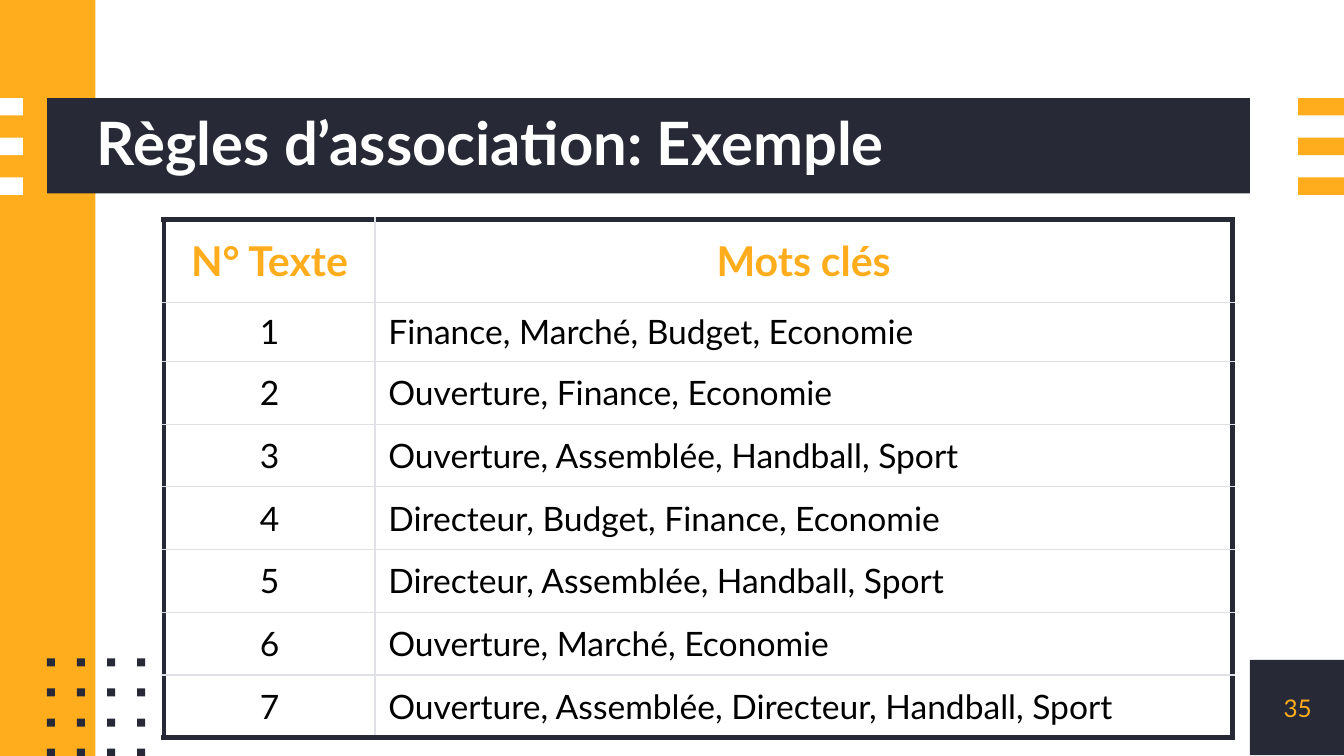
from lxml.etree import SubElement
from pptx import Presentation
from pptx.dml.color import RGBColor
from pptx.enum.shapes import MSO_SHAPE
from pptx.enum.text import MSO_ANCHOR, PP_ALIGN
from pptx.oxml.ns import qn
from pptx.util import Inches, Pt

# Content
TITLE = "Règles d’association: Exemple"
NUMBER = "35"
HEADS = ("N° Texte", "Mots clés")
WORDS = [
    "Finance, Marché, Budget, Economie",
    "Ouverture, Finance, Economie",
    "Ouverture, Assemblée, Handball, Sport",
    "Directeur, Budget, Finance, Economie",
    "Directeur, Assemblée, Handball, Sport",
    "Ouverture, Marché, Economie",
    "Ouverture, Assemblée, Directeur, Handball, Sport",
]
ROWS = [HEADS] + [(str(i), text) for i, text in enumerate(WORDS, 1)]

# Style
FONT = "Lato"
DARK = RGBColor(0x27, 0x2A, 0x36)
GOLD = RGBColor(0xFF, 0xAD, 0x1D)
WHITE = RGBColor(0xFF, 0xFF, 0xFF)
BLACK = RGBColor(0x00, 0x00, 0x00)
GREY = RGBColor(0xE0, 0xE0, 0xE7)

# Layout in inches, on a 16:9 slide
WIDE = 10
HIGH = WIDE * 9 / 16
WIDTHS = (1.57, 6.38)
HEIGHTS = [0.62, 0.44] + [0.467] * 6
HEIGHTS = [0.62, 0.44] + [2.8 / 6] * 6
BAR = (0.72, 0.73, 8.58, 0.71)
CORNER = (9.3, 4.91, 0.71, 0.71)
STRIPE = 0.59 / 2
DOT = 0.67 / 3

deck = Presentation()
deck.slide_width, deck.slide_height = Inches(WIDE), Inches(HIGH)
slide = deck.slides.add_slide(deck.slide_layouts[6])


def add_rect(box, color):
    rect = slide.shapes.add_shape(MSO_SHAPE.RECTANGLE, *map(Inches, box))
    rect.shadow.inherit = False
    rect.fill.solid()
    rect.fill.fore_color.rgb = color
    rect.line.fill.background()


def style(para, size, color, bold=False, align=PP_ALIGN.LEFT):
    para.alignment = align
    for run in para.runs:
        font = run.font
        font.name, font.size, font.bold = FONT, Pt(size), bold
        font.color.rgb = color


def add_text(box, text, *look, **more):
    frame = slide.shapes.add_textbox(*map(Inches, box)).text_frame
    frame.word_wrap = True
    frame.vertical_anchor = MSO_ANCHOR.MIDDLE
    frame.margin_left = frame.margin_right = 0
    frame.margin_top = frame.margin_bottom = 0
    frame.text = text
    style(frame.paragraphs[0], *look, **more)
    return frame.paragraphs[0]


def set_edges(cell, outer):
    """Thick dark lines on the outer sides, thin grey ones elsewhere."""
    props = cell._tc.get_or_add_tcPr()
    for side in "LRTB":
        color, width = (DARK, 3) if side in outer else (GREY, 0.75)
        line = SubElement(props, qn(f"a:ln{side}"), w=str(Pt(width)))
        fill = SubElement(line, qn("a:solidFill"))
        SubElement(fill, qn("a:srgbClr"), val=str(color))


# Number corner, side band and title bar
add_rect(CORNER, DARK)
add_rect((0, 0, 0.71, HIGH), GOLD)
add_rect((0.35, 0.73, 8.95, 0.71), DARK)

# Stripes at both ends of the title bar
for i in range(3):
    top = 0.73 + i * STRIPE
    add_rect((0, top, 0.17, 0.13), WHITE)
    add_rect((9.66, top, 0.34, 0.13), GOLD)

# Dot grid
for row in range(4):
    for col in range(4):
        add_rect((0.35 + col * DOT, 4.9 + row * DOT, 0.06, 0.06), DARK)

# Title and slide number
title = add_text(BAR, TITLE, 32, WHITE, bold=True)
title.line_spacing = 0.9
add_text(CORNER, NUMBER, 13, GOLD, align=PP_ALIGN.CENTER)

# Keyword table
area = map(Inches, (1.22, 1.63, sum(WIDTHS), sum(HEIGHTS)))
table = slide.shapes.add_table(len(ROWS), len(HEADS), *area).table
table.first_row = table.horz_banding = False
for col, width in zip(table.columns, WIDTHS):
    col.width = Inches(width)
for row, height in zip(table.rows, HEIGHTS):
    row.height = Inches(height)

for r, texts in enumerate(ROWS):
    for c, text in enumerate(texts):
        cell = table.cell(r, c)
        cell.text = text
        cell.vertical_anchor = MSO_ANCHOR.MIDDLE
        cell.margin_left = cell.margin_right = Inches(0.1)
        cell.margin_top = cell.margin_bottom = Inches(0.07)
        head = r == 0
        style(
            cell.text_frame.paragraphs[0],
            22 if head else 18,
            GOLD if head else BLACK,
            bold=head,
            align=PP_ALIGN.CENTER if head or c == 0 else PP_ALIGN.LEFT,
        )
        outer = "L" if c == 0 else "R"
        if head:
            outer += "T"
        elif r == len(ROWS) - 1:
            outer += "B"
        set_edges(cell, outer)
        cell.fill.background()

deck.save("out.pptx")
